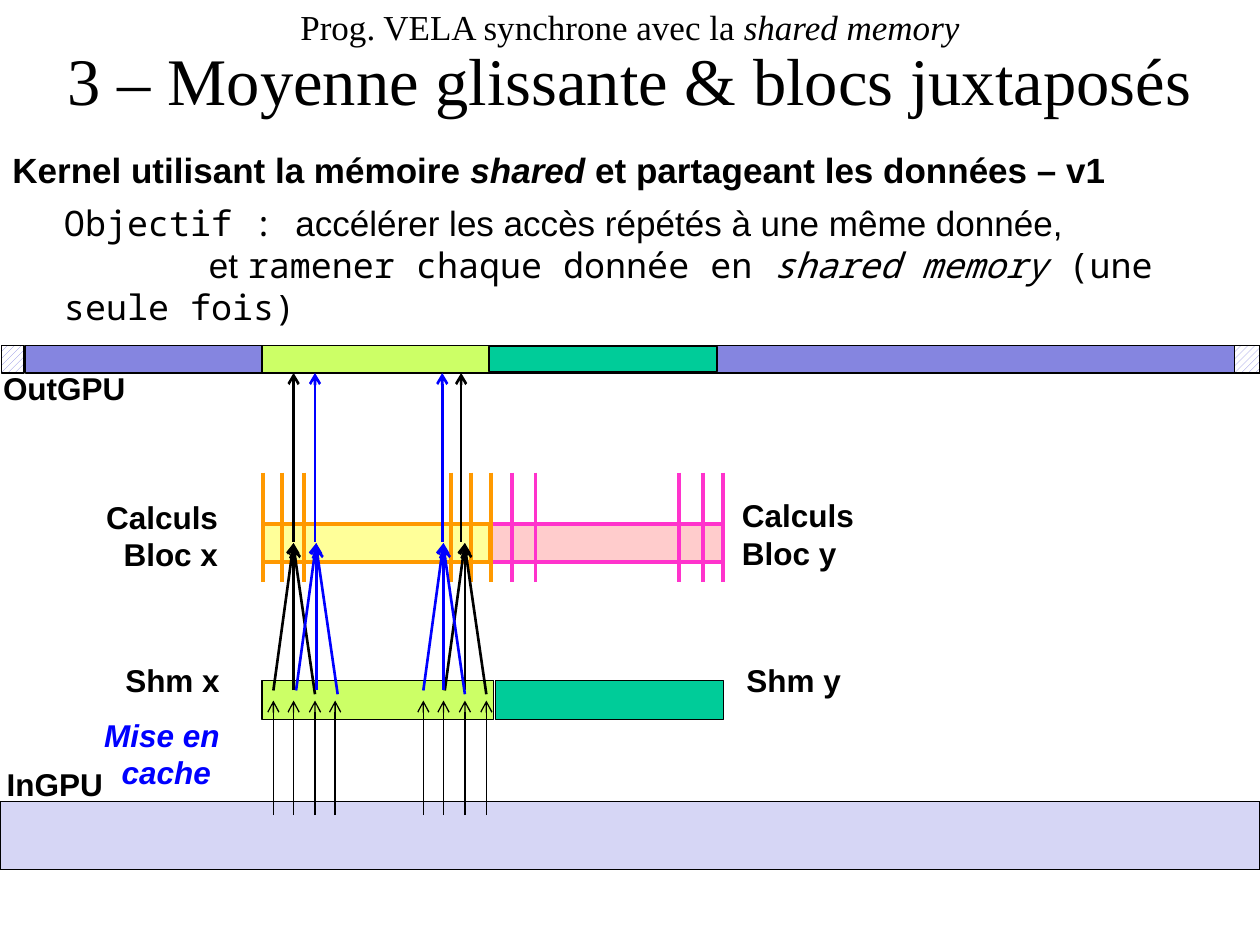
from dataclasses import dataclass

from lxml import etree
from pptx import Presentation
from pptx.dml.color import RGBColor
from pptx.enum.dml import MSO_PATTERN
from pptx.enum.shapes import MSO_CONNECTOR, MSO_SHAPE
from pptx.enum.text import MSO_ANCHOR, PP_ALIGN
from pptx.oxml.ns import qn
from pptx.util import Inches, Pt

LEFT, CENTER, RIGHT = PP_ALIGN.LEFT, PP_ALIGN.CENTER, PP_ALIGN.RIGHT
TOP, MIDDLE = MSO_ANCHOR.TOP, MSO_ANCHOR.MIDDLE
HATCH = MSO_PATTERN.WIDE_UPWARD_DIAGONAL
RECT, STRAIGHT = MSO_SHAPE.RECTANGLE, MSO_CONNECTOR.STRAIGHT


@dataclass(frozen=True)
class Theme:
    """Colours, fonts and sizes of the slide."""
    black: str = "000000"
    white: str = "FFFFFF"
    blue: str = "0000FF"
    violet: str = "8585E0"
    lavender: str = "D6D6F5"
    lime: str = "CCFF66"
    green: str = "00CC99"
    orange: str = "FF9900"
    yellow: str = "FFFF99"
    magenta: str = "FF33CC"
    pink: str = "FFCCCC"
    serif: str = "Times New Roman"
    sans: str = "Arial"
    mono: str = "Noto Sans Mono"
    title: int = 38
    body: int = 20
    label: int = 18
    thin: float = 0.75
    medium: float = 1.5
    thick: float = 2.25


T = Theme()


def rgb(value):
    """Turn a hex string into a colour."""
    return RGBColor.from_string(value)


def add_run(p, text, color=T.black, **fmt):
    """Add a formatted run to a paragraph."""
    r = p.add_run()
    r.text = text
    for name, value in fmt.items():
        setattr(r.font, name, value)
    r.font.color.rgb = rgb(color)


def add_text(s, box, paragraphs, align=LEFT, wrap=False):
    """Add a text box from lists of (text, format) runs."""
    tf = s.shapes.add_textbox(*map(Inches, box)).text_frame
    tf.word_wrap, tf.vertical_anchor = wrap, TOP
    for i, runs in enumerate(paragraphs):
        p = tf.paragraphs[0] if i == 0 else tf.add_paragraph()
        p.alignment = align
        for text, fmt in runs:
            add_run(p, text, **fmt)
    return tf


def add_label(s, box, lines, align=CENTER, **extra):
    """Add a bold label with one paragraph per line."""
    fmt = {"size": Pt(T.label), "name": T.sans, "bold": True, **extra}
    add_text(s, box, [[(line, fmt)] for line in lines], align)


def add_bar(s, box, fill, line=T.black, width=T.thin, pattern=None):
    """Add a plain or hatched rectangle."""
    sp = s.shapes.add_shape(RECT, *map(Inches, box))
    sp.shadow.inherit = False
    if pattern is None:
        sp.fill.solid()
        sp.fill.fore_color.rgb = rgb(fill)
    else:
        sp.fill.patterned()
        sp.fill.pattern = pattern
        sp.fill.fore_color.rgb = rgb(fill)
        sp.fill.back_color.rgb = rgb(T.white)
    sp.line.color.rgb = rgb(line)
    sp.line.width = Pt(width)


def add_line(s, start, end, color, width, arrow=False):
    """Add a straight line, with an open arrowhead at its end if asked."""
    sp = s.shapes.add_connector(STRAIGHT, *map(Inches, (*start, *end)))
    sp.line.color.rgb = rgb(color)
    sp.line.width = Pt(width)
    if arrow:
        etree.SubElement(sp.line._get_or_add_ln(), qn("a:tailEnd"), type="arrow")
    etree.SubElement(sp._element.spPr, qn("a:effectLst"))


def add_ticks(s, xs, color):
    """Add the vertical thread limits of a block."""
    for x in xs:
        add_line(s, (x, 3.75), (x, 4.62), color, T.thick)


def add_fan(s, x, color):
    """Add three arrows from neighbouring cached values to one result."""
    for dx, y, tip in ((-0.16, 5.48, 4.31), (0.17, 5.51, 4.34), (0, 5.48, 4.31)):
        add_line(s, (x + dx, y), (x, tip), color, T.medium, True)


def add_title(s):
    """Fill and place the two-line title."""
    sp = s.shapes.title
    sp.left, sp.top, sp.width, sp.height = map(Inches, (0, 0, 10, 1.04))
    tf = sp.text_frame
    tf.word_wrap, tf.vertical_anchor = True, MIDDLE
    p = tf.paragraphs[0]
    p.alignment, p.line_spacing = CENTER, 0.9
    small = {"size": Pt(T.body), "name": T.serif}
    add_run(p, "Prog. VELA synchrone avec la ", **small)
    add_run(p, "shared memory", italic=True, **small)
    p.add_line_break()
    add_run(p, "3 – Moyenne glissante & blocs juxtaposés", size=Pt(T.title), name=T.serif)


def add_intro(s):
    """Add the heading and the objective."""
    sans = {"size": Pt(T.body), "name": T.sans}
    mono = {**sans, "name": T.mono}
    bold = {**sans, "bold": True}
    add_text(s, (0, 1.13, 9.01, 0.44), [[
        ("Kernel utilisant la mémoire ", bold),
        ("shared ", {**bold, "italic": True}),
        ("et partageant les données – v1", bold)]])
    tf = add_text(s, (0.41, 1.55, 9.36, 0.77), [
        [("Objectif : ", mono),
         ("accélérer les accès répétés à une même donnée,", sans)],
        [("et ", sans), ("ramener chaque donnée en ", mono),
         ("shared memory ", {**mono, "italic": True}),
         ("(une seule fois)", mono)]], wrap=True)
    pPr = tf.paragraphs[1]._p.get_or_add_pPr()
    pPr.set("marL", "0")
    pPr.set("indent", str(Inches(1.15)))


def add_memory(s):
    """Add the output, shared and input memory bars."""
    add_bar(s, (0.2, 2.74, 9.61, 0.22), T.violet)
    add_bar(s, (2.08, 2.74, 1.81, 0.22), T.lime)
    add_bar(s, (3.88, 2.75, 1.81, 0.2), T.green)
    for x, w in ((9.8, 0.2), (0.01, 0.18)):
        add_bar(s, (x, 2.74, w, 0.22), T.violet, pattern=HATCH)
    add_bar(s, (2.08, 5.4, 1.84, 0.31), T.lime)
    add_bar(s, (3.93, 5.4, 1.81, 0.31), T.green)
    add_bar(s, (0, 6.36, 10, 0.54), T.lavender)


def add_blocks(s):
    """Add the two computing blocks and their thread limits."""
    add_bar(s, (3.9, 4.16, 1.84, 0.3), T.pink, T.magenta, T.thick)
    add_bar(s, (2.09, 4.16, 1.8, 0.3), T.yellow, T.orange, T.thick)
    add_ticks(s, (2.09, 2.24, 2.41, 3.58, 3.74, 3.9), T.orange)
    add_ticks(s, (4.06, 4.25, 5.39, 5.58, 5.74), T.magenta)


def add_arrows(s):
    """Add the caching, reading and writing arrows."""
    flows = ((2.33, 2.33, T.black), (3.69, 3.66, T.black),
             (2.51, 2.5, T.blue), (3.52, 3.51, T.blue))
    for read_x, write_x, color in flows:
        add_fan(s, read_x, color)
        add_line(s, (write_x, 4.3), (write_x, 2.96), color, T.medium, True)
    for x in (2.17, 2.33, 2.5, 2.66, 3.36, 3.52, 3.69, 3.86):
        add_line(s, (x, 6.47), (x, 5.56), T.black, T.thin, True)


def add_labels(s):
    """Add the names of the memories and blocks."""
    add_label(s, (-0.08, 2.88, 1.18, 0.4), ["OutGPU"])
    add_label(s, (-0.05, 6.02, 0.97, 0.4), ["InGPU"])
    add_label(s, (0.89, 5.2, 0.96, 0.4), ["Shm x"])
    add_label(s, (5.82, 5.2, 0.96, 0.4), ["Shm y"])
    add_label(s, (0.73, 3.9, 1.1, 0.71), ["Calculs", "Bloc x"], RIGHT)
    add_label(s, (5.79, 3.89, 1.1, 0.71), ["Calculs", "Bloc y"], LEFT)
    add_label(s, (0.72, 5.63, 1.2, 0.71), ["Mise en ", "cache"],
              color=T.blue, italic=True)


def main():
    """Build and save the slide."""
    prs = Presentation()
    prs.slide_width, prs.slide_height = Inches(10), Inches(7.5)
    s = prs.slides.add_slide(prs.slide_layouts[5])
    for add_part in (add_title, add_intro, add_memory, add_blocks, add_arrows, add_labels):
        add_part(s)
    prs.save("out.pptx")


if __name__ == "__main__":
    main()
